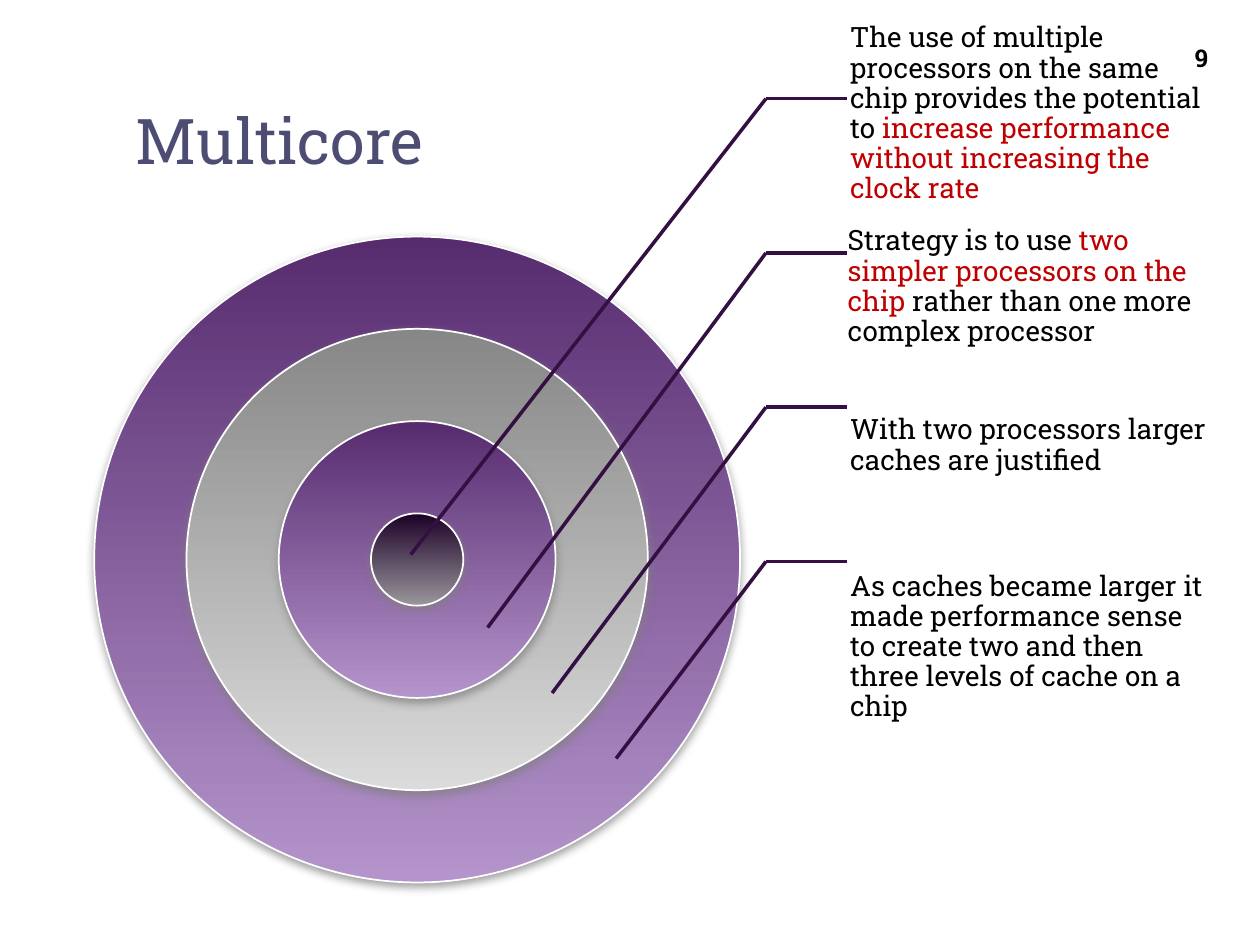
import pptx
import pptx.dml.color
import pptx.enum.shapes
import pptx.enum.text
import pptx.util
from lxml import etree
from pptx.dml.color import RGBColor
from pptx.oxml.ns import qn
from pptx.util import Cm

FONT = "Roboto Slab"
BLACK = RGBColor(0x00, 0x00, 0x00)
WHITE = RGBColor(0xFF, 0xFF, 0xFF)
RED = RGBColor(0xC0, 0x00, 0x00)
SLATE = RGBColor(0x4D, 0x4D, 0x73)
LEADER = RGBColor(0x33, 0x0F, 0x42)
SHADOW = RGBColor(0x80, 0x80, 0x80)
PURPLE = (RGBColor(0x57, 0x2C, 0x6F), RGBColor(0xB4, 0x94, 0xCB))
GREY = (RGBColor(0x87, 0x87, 0x87), RGBColor(0xDB, 0xDB, 0xDB))
DARK = (RGBColor(0x1C, 0x01, 0x27), RGBColor(0x99, 0x96, 0x9C))

# Outermost ring first
RINGS = [PURPLE, GREY, PURPLE, DARK]

# (text runs, label left and top, inner end of the leader), in cm
LABELS = [
    ([("The use of multiple processors on the same chip provides the potential to ", BLACK),
      ("increase performance without increasing the clock rate", RED)],
     (16.94, 0.43), (8.28, 11.18)),
    ([("Strategy is to use ", BLACK),
      ("two simpler processors on the chip", RED),
      (" rather than one more complex processor", BLACK)],
     (16.89, 4.52), (9.83, 12.65)),
    ([("With two processors larger caches are justified", BLACK)],
     (16.94, 8.33), (11.13, 13.97)),
    ([("As caches became larger it made performance sense to create two "
       "and then three levels of cache on a chip", BLACK)],
     (16.94, 11.48), (12.42, 15.29)),
]

CENTER_X, CENTER_Y = 8.41, 11.28
CORE_DIAMETER = 1.86
LABEL_WIDTH, LABEL_HEIGHT = 7.47, 3.12
ELBOW_X, LEADER_END_X = 15.44, 17.07
FIRST_LEADER_Y, LEADER_STEP = 1.99, 3.11


def add_ring(slide, diameter, colors):
    ring = slide.shapes.add_shape(
        pptx.enum.shapes.MSO_SHAPE.OVAL,
        Cm(CENTER_X - diameter / 2), Cm(CENTER_Y - diameter / 2),
        Cm(diameter), Cm(diameter))
    ring.fill.gradient()
    ring.fill.gradient_angle = 270  # top to bottom
    for stop, color in zip(ring.fill.gradient_stops, colors):
        stop.color.rgb = color
    ring.line.color.rgb = WHITE
    ring.line.width = pptx.util.Pt(1)
    add_shadow(ring)


def add_shadow(shape):
    shape.shadow.inherit = False
    effects = shape._element.spPr.find(qn("a:effectLst"))
    shadow = etree.SubElement(
        effects, qn("a:outerShdw"), blurRad=str(pptx.util.Pt(5)),
        dist=str(pptx.util.Pt(2)), dir="5400000", rotWithShape="0")
    color = etree.SubElement(shadow, qn("a:srgbClr"), val=str(SHADOW))
    etree.SubElement(color, qn("a:alpha"), val="75000")


def add_leader(slide, start, end):
    leader = slide.shapes.add_connector(
        pptx.enum.shapes.MSO_CONNECTOR.STRAIGHT,
        *(Cm(value) for value in start + end))
    leader.line.color.rgb = LEADER
    leader.line.width = pptx.util.Pt(2)
    etree.SubElement(leader._element.spPr, qn("a:effectLst"))


def add_text(slide, box, runs, size):
    """Add a wrapped one-paragraph text box and return its text frame."""
    frame = slide.shapes.add_textbox(*(Cm(value) for value in box)).text_frame
    frame.word_wrap = True
    paragraph = frame.paragraphs[0]
    paragraph.font.name = FONT
    paragraph.font.size = pptx.util.Pt(size)
    for text, color in runs:
        run = paragraph.add_run()
        run.text = text
        run.font.color.rgb = color
    return frame


def add_label(slide, position, runs):
    frame = add_text(slide, position + (LABEL_WIDTH, LABEL_HEIGHT), runs, 16)
    frame.margin_left = Cm(0.2)
    frame.margin_top = frame.margin_right = frame.margin_bottom = Cm(0.05)
    frame.paragraphs[0].line_spacing = 0.9


def main():
    deck = pptx.Presentation()
    deck.slide_width, deck.slide_height = Cm(25.4), Cm(19.05)
    slide = deck.slides.add_slide(deck.slide_layouts[6])

    for index, colors in enumerate(RINGS):
        add_ring(slide, CORE_DIAMETER * (7 - 2 * index), colors)

    for index, (runs, position, target) in enumerate(LABELS):
        elbow = (ELBOW_X, FIRST_LEADER_Y + index * LEADER_STEP)
        add_label(slide, position, runs)
        add_leader(slide, elbow, (LEADER_END_X, elbow[1]))
        add_leader(slide, elbow, target)

    add_text(slide, (2.49, 1.93, 20.98, 3.1), [("Multicore", SLATE)], 36)

    number = add_text(slide, (23.06, 0.66, 1.55, 1.02), [("9", BLACK)], 14)
    number.vertical_anchor = pptx.enum.text.MSO_ANCHOR.MIDDLE
    number.paragraphs[0].alignment = pptx.enum.text.PP_ALIGN.RIGHT
    number.paragraphs[0].font.bold = True

    deck.save("out.pptx")


if __name__ == "__main__":
    main()
